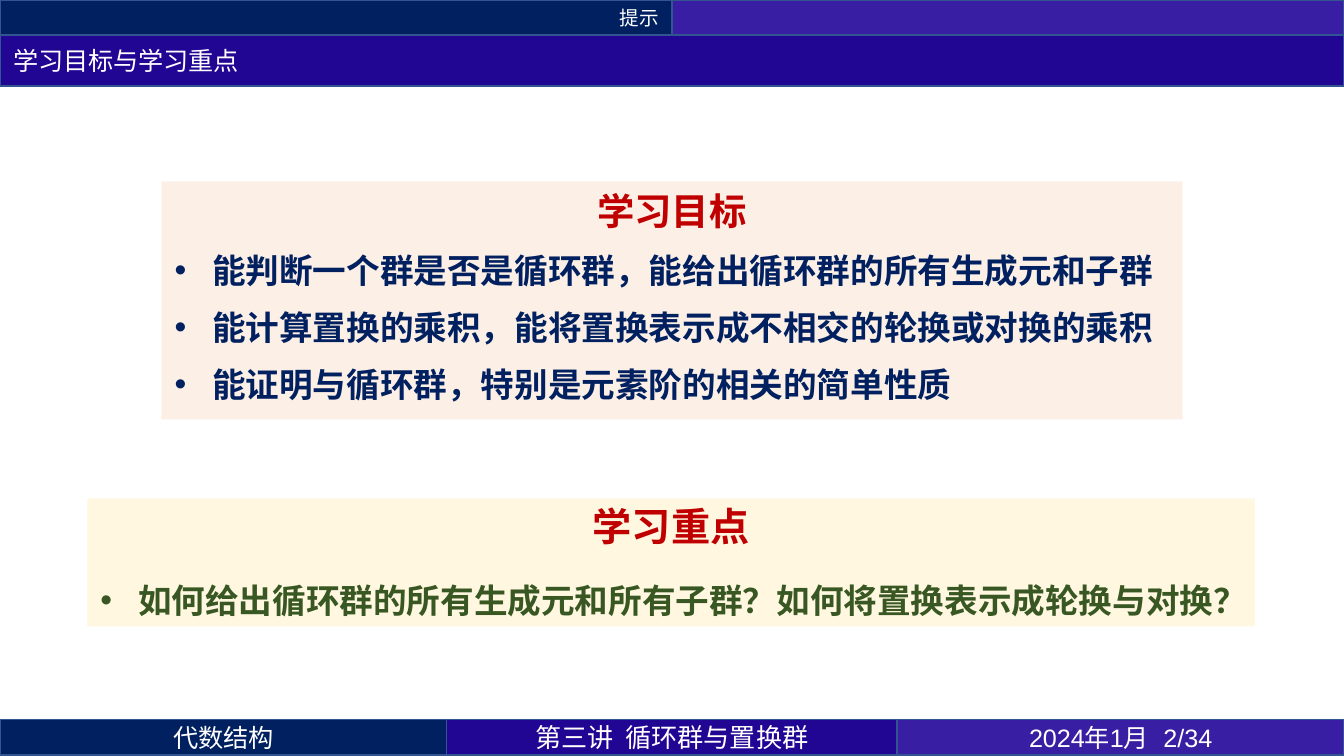
from lxml import etree
from pptx import Presentation
from pptx import util as u
from pptx.dml.color import RGBColor
from pptx.enum import shapes, text
from pptx.oxml.ns import qn

NAVY = RGBColor(0x00, 0x20, 0x60)
INDIGO = RGBColor(0x21, 0x06, 0x94)
VIOLET = RGBColor(0x37, 0x1E, 0xA2)
EDGE = RGBColor(0x32, 0x54, 0x91)
WHITE = RGBColor(0xFF, 0xFF, 0xFF)
RED = RGBColor(0xC0, 0x00, 0x00)
GREEN = RGBColor(0x38, 0x57, 0x23)
PEACH = RGBColor(0xFB, 0xE5, 0xD6)
CREAM = RGBColor(0xFF, 0xF2, 0xCC)

CJK = "Noto Sans CJK SC"
LEFT, CENTER, RIGHT = (text.PP_ALIGN.LEFT, text.PP_ALIGN.CENTER,
                       text.PP_ALIGN.RIGHT)
SLIDE_W, SLIDE_H = 25.4, 14.29
BAND_H = 0.67


def set_attrs(obj, values):
    for name, value in values.items():
        setattr(obj, name, value)


def place(sp, left, top, width, height):
    set_attrs(sp, {"left": u.Cm(left), "top": u.Cm(top),
                   "width": u.Cm(width), "height": u.Cm(height)})


def add_rect(s, box):
    sp = s.shapes.add_shape(shapes.MSO_SHAPE.RECTANGLE,
                            *(u.Cm(v) for v in box))
    sp.shadow.inherit = False
    return sp


def paint(sp, color):
    sp.fill.solid()
    sp.fill.fore_color.rgb = color
    sp.line.color.rgb = EDGE
    sp.line.width = u.Pt(1)


def write(p, words, size, color, font=CJK, bold=False, **para):
    set_attrs(p, para)
    r = p.add_run()
    r.text = words
    set_attrs(r.font, {"size": u.Pt(size), "name": font, "bold": bold})
    r.font.color.rgb = color
    etree.SubElement(r.font._element, qn("a:ea"), typeface=CJK)


def add_band(s, box, color, words="", size=13.5, font=CJK, align=CENTER):
    sp = add_rect(s, box)
    paint(sp, color)
    if words:
        sp.text_frame.vertical_anchor = text.MSO_ANCHOR.MIDDLE
        write(sp.text_frame.paragraphs[0], words, size, WHITE, font,
              alignment=align)


def add_title(s, words):
    sp = s.shapes.title
    place(sp, 0, BAND_H, SLIDE_W, 0.96)
    paint(sp, INDIGO)
    set_attrs(sp.text_frame, {"vertical_anchor": text.MSO_ANCHOR.MIDDLE,
                              "auto_size": text.MSO_AUTO_SIZE.NONE})
    write(sp.text_frame.paragraphs[0], words, 13.5, WHITE, "Calibri",
          alignment=LEFT)


def add_bullet(p):
    pPr = p._p.get_or_add_pPr()
    pPr.set("marL", str(u.Cm(0.71)))
    pPr.set("indent", str(-u.Cm(0.71)))
    etree.SubElement(pPr, qn("a:buFont"), typeface="Arial")
    etree.SubElement(pPr, qn("a:buChar"), char="•")


def add_panel(s, box, fill, heading, size, items, color, before, item_line):
    sp = add_rect(s, box)
    sp.fill.solid()
    sp.fill.fore_color.rgb = fill
    # 60 % opacity
    clr = sp.fill._xPr.find(qn("a:solidFill"))[0]
    etree.SubElement(clr, qn("a:alpha"), val="60000")
    sp.line.fill.background()
    tf = sp.text_frame
    set_attrs(tf, {"word_wrap": True, "vertical_anchor": text.MSO_ANCHOR.TOP,
                   "auto_size": text.MSO_AUTO_SIZE.SHAPE_TO_FIT_TEXT})
    gaps = {"space_before": u.Pt(before), "space_after": u.Pt(4.5)}
    write(tf.paragraphs[0], heading, size, RED, bold=True, alignment=CENTER,
          line_spacing=u.Pt(24), **gaps)
    for item in items:
        p = tf.add_paragraph()
        write(p, item, 18, color, "Arial", True, alignment=LEFT,
              line_spacing=item_line, **gaps)
        add_bullet(p)


def main():
    prs = Presentation()
    prs.slide_width, prs.slide_height = u.Cm(SLIDE_W), u.Cm(SLIDE_H)
    s = prs.slides.add_slide(prs.slide_layouts[5])

    # Header bands
    half = SLIDE_W / 2
    add_band(s, (0, 0, half, BAND_H), NAVY, "提示", 10.5, align=RIGHT)
    add_band(s, (half, 0, half, BAND_H), VIOLET)
    add_title(s, "学习目标与学习重点")

    # Footer bands
    left = 0
    for width, color, words, size, font in (
            (8.44, NAVY, "代数结构", 13.5, CJK),
            (8.52, INDIGO, "第三讲  循环群与置换群", 14, CJK),
            (8.44, VIOLET, "2024年1月 \t2/34", 13.5, "Arial")):
        add_band(s, (left, 13.6, width, BAND_H), color, words, size, font)
        left += width

    # Goals and key points
    add_panel(s, (3.05, 3.43, 19.3, 4.5), PEACH, "学习目标", 20,
              ["能判断一个群是否是循环群，能给出循环群的所有生成元和子群",
               "能计算置换的乘积，能将置换表示成不相交的轮换或对换的乘积",
               "能证明与循环群，特别是元素阶的相关的简单性质"],
              NAVY, 4.5, None)
    add_panel(s, (1.65, 9.42, 22.07, 2.42), CREAM, "学习重点", 21,
              ["如何给出循环群的所有生成元和所有子群？如何将置换表示成轮换与对换？"],
              GREEN, 9, u.Pt(24))

    prs.save("out.pptx")


if __name__ == "__main__":
    main()
